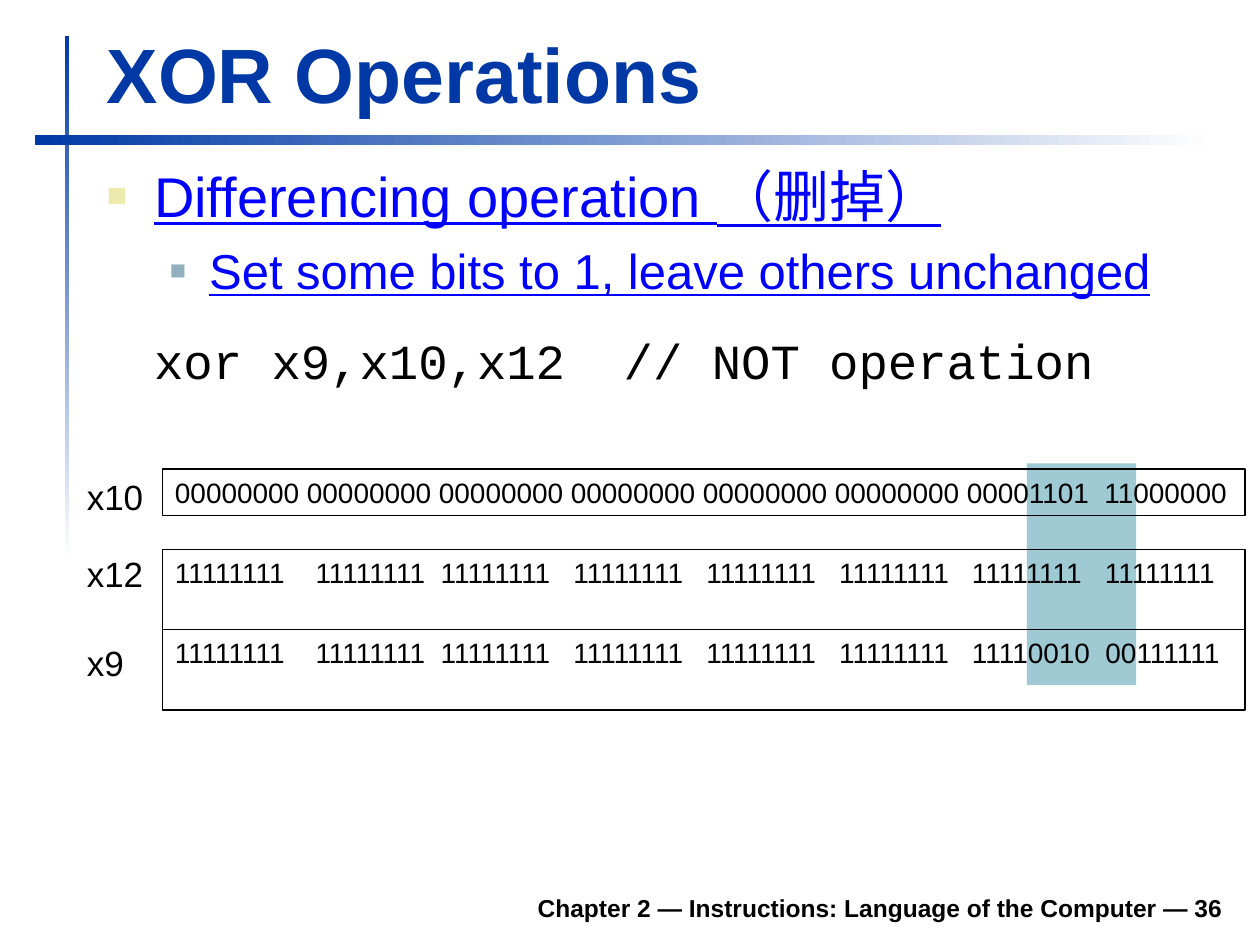
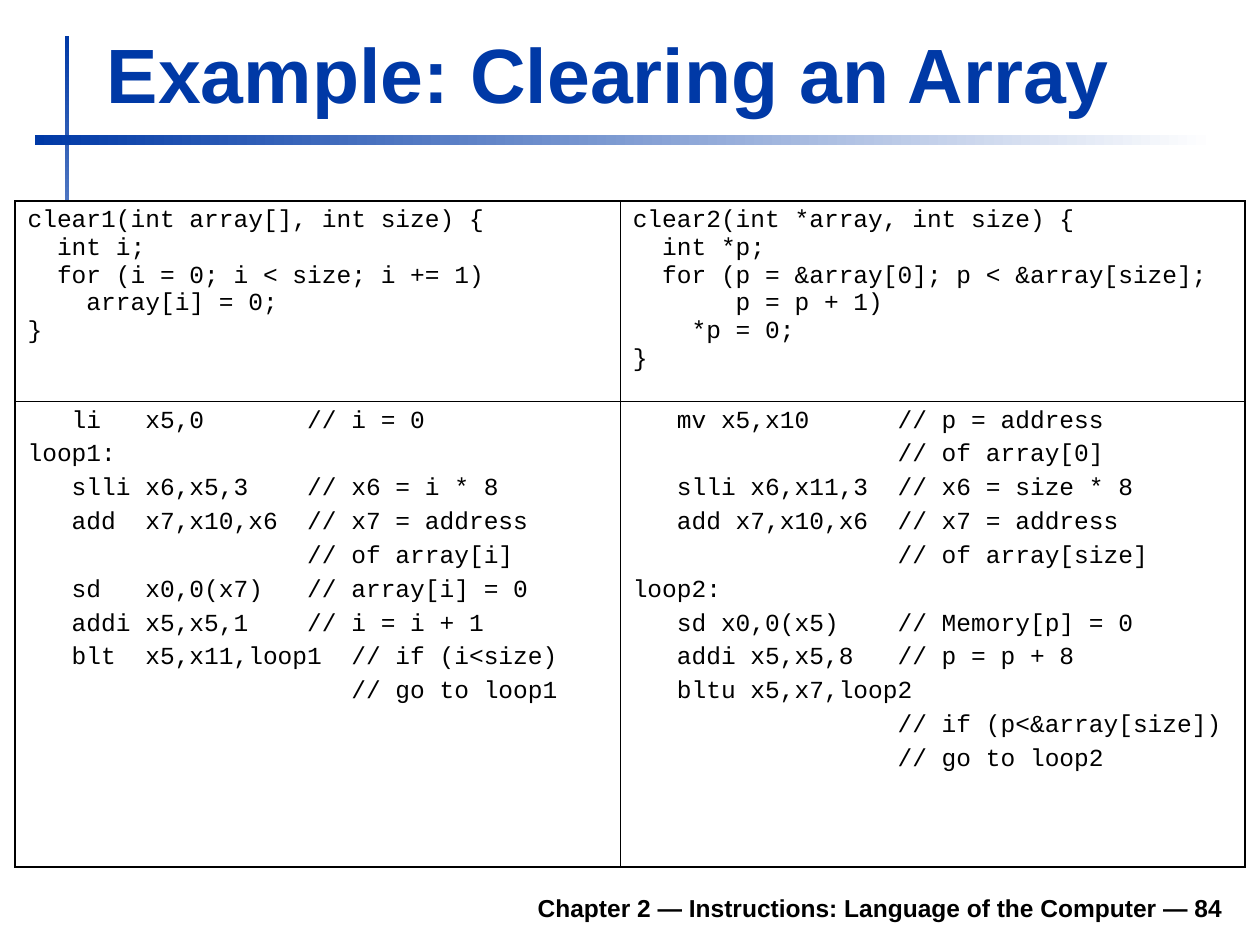
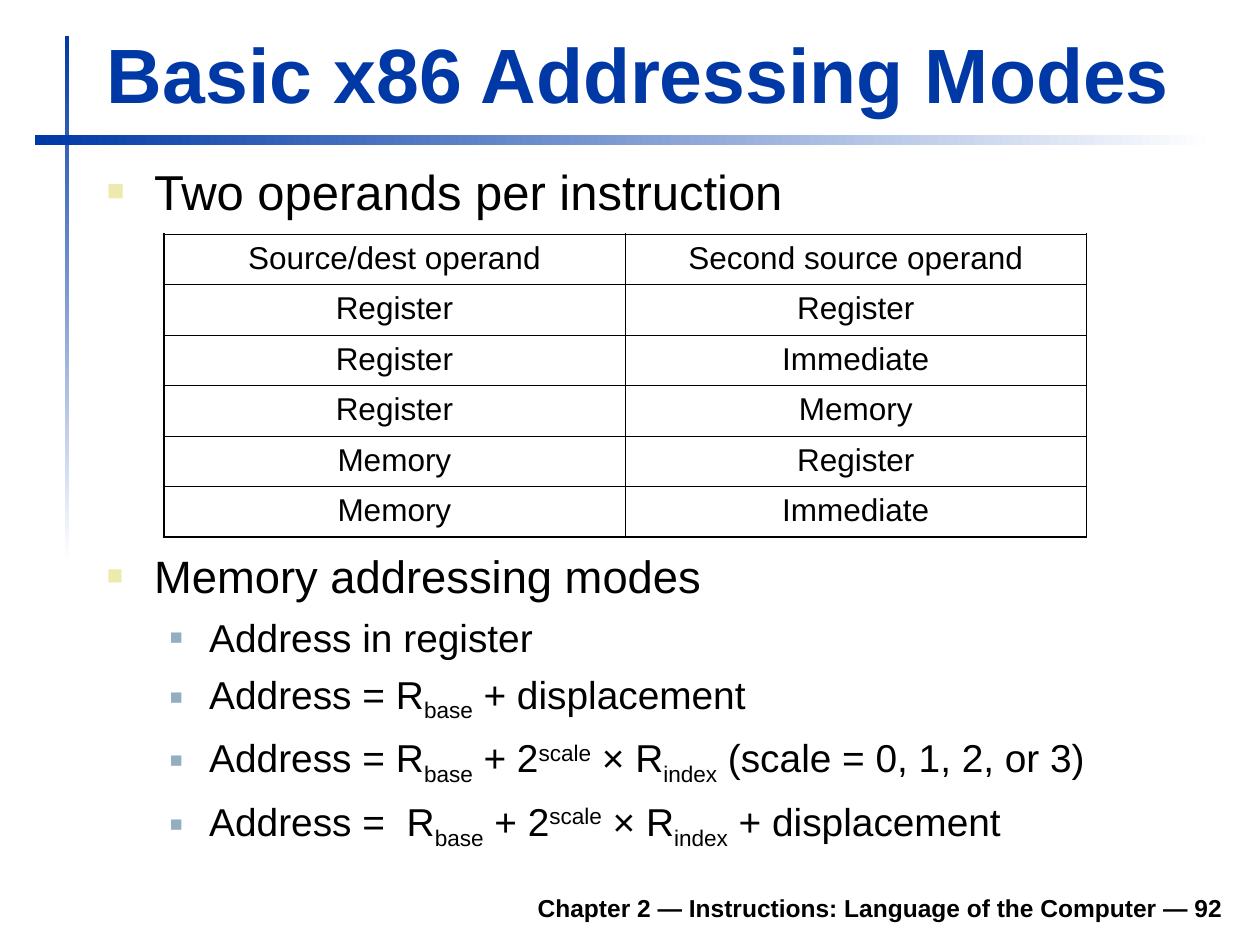
from dataclasses import dataclass, replace
from typing import NamedTuple

from lxml import etree
from pptx import Presentation
from pptx.dml.color import RGBColor
from pptx.enum.shapes import MSO_SHAPE
from pptx.enum.text import MSO_ANCHOR, PP_ALIGN
from pptx.oxml.ns import qn
from pptx.util import Pt

RECT = MSO_SHAPE.RECTANGLE
TOP, BOTTOM = MSO_ANCHOR.TOP, MSO_ANCHOR.BOTTOM
LEFT, CENTER, RIGHT = PP_ALIGN.LEFT, PP_ALIGN.CENTER, PP_ALIGN.RIGHT

COLORS = {
    "title": "0039A6",
    "text": "000000",
    "paper": "FFFFFF",
    "stressed": "0000FF",
    "bullet": "ECEAAC",
    "subbullet": "91AFBF",
    "highlight": "9FCAD3",
}
SANS, MONO = "Arial", "Courier New"
SUB, SUPER = -25000, 30000
OUTER_LINE, INNER_LINE = 1.08, 0.45


class Box(NamedTuple):
    left: float
    top: float
    width: float
    height: float


class Run(NamedTuple):
    text: str
    baseline: int = 0


@dataclass(frozen=True)
class Style:
    size: float
    color: str = "text"
    font: str = SANS
    bold: bool = False
    underline: bool = False
    align: PP_ALIGN = LEFT
    before: float = 0
    after: float = 0
    margin: float = 0
    hang: float = 0
    level: int = 0
    bullet: str = ""
    bullet_percent: int = 0


@dataclass(frozen=True)
class Para:
    content: str | tuple[Run, ...]
    style: Style


@dataclass(frozen=True)
class BitRow:
    name: str
    bits: str
    label_top: float
    top: float
    height: float


TITLE = Style(44, "title", bold=True)
FOOTER = Style(14, bold=True, align=RIGHT)
POINT = Style(28, before=7, margin=27, hang=27, bullet="bullet", bullet_percent=60)
SUBPOINT = Style(22.2, before=6, margin=58.5, hang=22.5, level=1,
                 bullet="subbullet", bullet_percent=55)
INSTRUCTION = Style(28, font=MONO, before=17.5, after=10.5, margin=27)
REGISTER = Style(20)
BITS = Style(16)
C_CODE = Style(14, font=MONO)
ASSEMBLY = replace(C_CODE, before=3.5)
OPERAND = Style(18, align=CENTER, before=4.5)

BIT_ROWS = [
    BitRow("x10", "00000000 00000000 00000000 00000000 "
                  "00000000 00000000 00001101  11000000", 268, 268.1, 26.6),
    BitRow("x12", "11111111    11111111  11111111   11111111   "
                  "11111111   11111111   11111111   11111111", 312.2, 313.9, 46),
    BitRow("x9", "11111111    11111111  11111111   11111111   "
                 "11111111   11111111   11110010  00111111", 363, 359.8, 46),
]

CLEAR1_C = """\
clear1(int array[], int size) {
  int i;
  for (i = 0; i < size; i += 1)
    array[i] = 0;
}"""
CLEAR2_C = """\
clear2(int *array, int size) {
  int *p;
  for (p = &array[0]; p < &array[size];
       p = p + 1)
    *p = 0;
}"""
CLEAR1_ASM = """\
   li   x5,0       // i = 0
loop1:
   slli x6,x5,3    // x6 = i * 8
   add  x7,x10,x6  // x7 = address
                   // of array[i]
   sd   x0,0(x7)   // array[i] = 0
   addi x5,x5,1    // i = i + 1
   blt  x5,x11,loop1  // if (i<size)
                      // go to loop1"""
CLEAR2_ASM = """\
   mv x5,x10      // p = address
                  // of array[0]
   slli x6,x11,3  // x6 = size * 8
   add x7,x10,x6  // x7 = address
                  // of array[size]
loop2:
   sd x0,0(x5)    // Memory[p] = 0
   addi x5,x5,8   // p = p + 8
   bltu x5,x7,loop2
                  // if (p<&array[size])
                  // go to loop2"""

OPERANDS = [
    ("Source/dest operand", "Second source operand"),
    ("Register", "Register"),
    ("Register", "Immediate"),
    ("Register", "Memory"),
    ("Memory", "Register"),
    ("Memory", "Immediate"),
]

BASE = Run("base", SUB)
SCALED_INDEX = (BASE, Run(" + 2"), Run("scale", SUPER), Run(" × R"), Run("index", SUB))
ADDRESS_FORMS = [
    "Address in register",
    (Run("Address = R"), BASE, Run(" + displacement")),
    (Run("Address = R"), *SCALED_INDEX, Run(" (scale = 0, 1, 2, or 3)")),
    (Run("Address =  R"), *SCALED_INDEX, Run(" + displacement")),
]


def rgb(name: str) -> RGBColor:
    return RGBColor.from_string(COLORS[name])


def points(box: Box) -> list[Pt]:
    return [Pt(v) for v in box]


def add_color(parent, name: str) -> None:
    etree.SubElement(parent, qn("a:srgbClr"), val=COLORS[name])


def set_indent_and_bullet(p, style: Style) -> None:
    pPr = p._p.get_or_add_pPr()
    pPr.set("marL", str(Pt(style.margin)))
    pPr.set("indent", str(-Pt(style.hang)))
    if style.bullet:
        add_color(etree.SubElement(pPr, qn("a:buClr")), style.bullet)
        etree.SubElement(pPr, qn("a:buSzPct"), val=str(style.bullet_percent * 1000))
        etree.SubElement(pPr, qn("a:buFont"), typeface=SANS)
        etree.SubElement(pPr, qn("a:buChar"), char="■")


def write_paragraph(p, para: Para) -> None:
    style = para.style
    runs = (Run(para.content),) if isinstance(para.content, str) else para.content
    for run in runs:
        r = p.add_run()
        r.text = run.text
        font = r.font
        font.name, font.size = style.font, Pt(style.size)
        font.bold, font.underline = style.bold, style.underline
        font.color.rgb = rgb(style.color)
        if run.baseline:
            r._r.get_or_add_rPr().set("baseline", str(run.baseline))
    p.alignment, p.level = style.align, style.level
    p.space_before, p.space_after = Pt(style.before), Pt(style.after)
    set_indent_and_bullet(p, style)


def write(tf, paras: list[Para]) -> None:
    for i, para in enumerate(paras):
        write_paragraph(tf.add_paragraph() if i else tf.paragraphs[0], para)


def add_text(s, box: Box, paras: list[Para], anchor: MSO_ANCHOR = TOP,
             wrap: bool = True) -> None:
    tf = s.shapes.add_textbox(*points(box)).text_frame
    tf.word_wrap, tf.vertical_anchor = wrap, anchor
    write(tf, paras)


def add_rect(s, box: Box):
    """Add a rectangle without shadow, fill or line."""
    sp = s.shapes.add_shape(RECT, *points(box))
    sp.shadow.inherit = False
    sp.fill.background()
    sp.line.fill.background()
    return sp


def add_fading_band(s, box: Box, angle: int) -> None:
    fill = add_rect(s, box).fill
    fill.gradient()
    fill.gradient_angle = angle
    for stop, name in zip(fill.gradient_stops, ("title", "paper")):
        stop.color.rgb = rgb(name)


def new_slide(prs, title: str, number: int):
    """Add a slide with the shared bands, footer and title."""
    s = prs.slides.add_slide(prs.slide_layouts[6])
    add_fading_band(s, Box(37.1, 20.4, 2.4, 300), 270)
    add_fading_band(s, Box(19.75, 77.1, 674.5, 5.7), 0)
    footer = f"Chapter 2 — Instructions: Language of the Computer — {number}"
    add_text(s, Box(133.5, 502.6, 572.4, 28), [Para(footer, FOOTER)], BOTTOM)
    add_text(s, Box(54, 11.5, 650, 59.8), [Para(title, TITLE)], BOTTOM)
    return s


def set_borders(cell, widths: dict[str, float]) -> None:
    tcPr = cell._tc.get_or_add_tcPr()
    for i, (side, width) in enumerate(widths.items()):
        ln = etree.Element(qn(f"a:ln{side}"), w=str(Pt(width)))
        add_color(etree.SubElement(ln, qn("a:solidFill")), "text")
        tcPr.insert(i, ln)


def add_grid(s, left: float, top: float, widths: list[float], heights: list[float],
             cells: list[list[list[Para]]], fill: str = "") -> None:
    """Add a table with a heavier outer border."""
    rows, cols = len(heights), len(widths)
    box = Box(left, top, sum(widths), sum(heights))
    table = s.shapes.add_table(rows, cols, *points(box)).table
    table.first_row = table.horz_banding = False
    for column, width in zip(table.columns, widths):
        column.width = Pt(width)
    for i, (row, height) in enumerate(zip(table.rows, heights)):
        row.height = Pt(height)
        for j, cell in enumerate(row.cells):
            if fill:
                cell.fill.solid()
                cell.fill.fore_color.rgb = rgb(fill)
            else:
                cell.fill.background()
            edges = {"L": j == 0, "R": j == cols - 1, "T": i == 0, "B": i == rows - 1}
            set_borders(cell, {side: OUTER_LINE if outer else INNER_LINE
                               for side, outer in edges.items()})
            write(cell.text_frame, cells[i][j])


def add_bit_row(s, row: BitRow) -> None:
    add_text(s, Box(42.5, row.label_top, 46.8, 31.7), [Para(row.name, REGISTER)],
             wrap=False)
    sp = add_rect(s, Box(92.9, row.top, 618.5, row.height))
    sp.line.color.rgb = rgb("text")
    sp.line.width = Pt(0.75)
    sp.text_frame.vertical_anchor = TOP
    write(sp.text_frame, [Para(row.bits, BITS)])


def code(source: str, style: Style) -> list[Para]:
    return [Para(line, style) for line in source.splitlines()]


def xor_slide(prs) -> None:
    s = new_slide(prs, "XOR Operations", 36)
    highlight = add_rect(s, Box(586.8, 264.8, 62.5, 126.5))
    highlight.fill.solid()
    highlight.fill.fore_color.rgb = rgb("highlight")
    stressed = {"color": "stressed", "underline": True}
    add_text(s, Box(54, 88.6, 651, 163.4), [
        Para("Differencing operation （删掉）", replace(POINT, size=32, before=8, **stressed)),
        Para("Set some bits to 1, leave others unchanged",
             replace(SUBPOINT, size=28, before=7, **stressed)),
        Para("xor x9,x10,x12  // NOT operation", INSTRUCTION),
    ])
    for row in BIT_ROWS:
        add_bit_row(s, row)


def array_slide(prs) -> None:
    s = new_slide(prs, "Example: Clearing an Array", 84)
    cells = [
        [code(CLEAR1_C, C_CODE), code(CLEAR2_C, C_CODE)],
        [code(CLEAR1_ASM, ASSEMBLY), code(CLEAR2_ASM, ASSEMBLY)],
    ]
    add_grid(s, 8.6, 114.8, [345.8, 357], [114.6, 266], cells, "paper")


def addressing_slide(prs) -> None:
    s = new_slide(prs, "Basic x86 Addressing Modes", 92)
    add_text(s, Box(54, 88.6, 651, 51), [Para("Two operands per instruction", POINT)])
    cells = [[[Para(name, OPERAND)] for name in pair] for pair in OPERANDS]
    add_grid(s, 93.6, 133.9, [263.6] * 2, [28.8] * len(OPERANDS), cells)
    add_text(s, Box(54, 309.8, 651, 181.4), [
        Para("Memory addressing modes", replace(POINT, size=25.9)),
        *(Para(form, SUBPOINT) for form in ADDRESS_FORMS),
    ])


def main() -> None:
    prs = Presentation()
    prs.slide_width, prs.slide_height = Pt(720), Pt(540)
    xor_slide(prs)
    array_slide(prs)
    addressing_slide(prs)
    prs.save("out.pptx")


if __name__ == "__main__":
    main()
